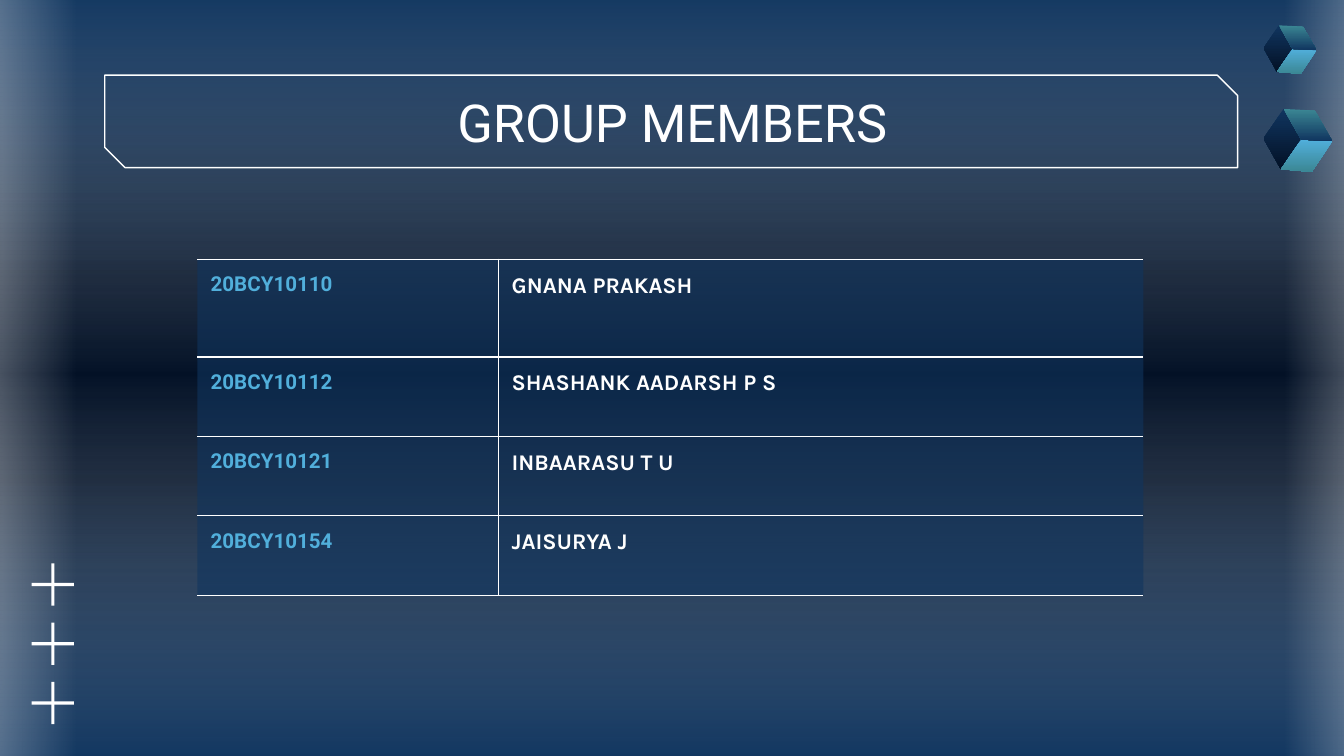
import pptx
import pptx.dml.color
import pptx.enum.shapes
import pptx.enum.text
import pptx.oxml
import pptx.oxml.ns
import pptx.util
from pptx.util import Cm

SHAPE = pptx.enum.shapes.MSO_SHAPE
ALIGN = pptx.enum.text.PP_ALIGN
ANCHOR = pptx.enum.text.MSO_ANCHOR
qn = pptx.oxml.ns.qn
NS = pptx.oxml.ns.nsdecls("a")

WHITE, NAVY, NIGHT = "FFFFFF", "10355F", "031126"
SKY, TEAL = "51AFDB", "3B8794"
INSET = Cm(0.25)

MEMBERS = [
    ("20BCY10110", "GNANA PRAKASH"),
    ("20BCY10112", "SHASHANK AADARSH P S"),
    ("20BCY10121", "INBAARASU T U"),
    ("20BCY10154", "JAISURYA J"),
]

# Cube faces: corner points in cm from the cube's top left, and gradient colours
CUBE_FACES = [
    ([(0.38, 0), (0, 0.56), (0.33, 1.14), (0.71, 0.58)], (NAVY, NIGHT)),
    ([(0.71, 0.58), (1.3, 0.61), (0.91, 1.19), (0.33, 1.14)], (SKY, TEAL)),
    ([(0.38, 0), (0.97, 0.03), (1.3, 0.61), (0.71, 0.58)], (TEAL, NAVY)),
]


def color(code):
    return pptx.dml.color.RGBColor.from_string(code)


def color_xml(code, alpha=100):
    return f'<a:srgbClr val="{code}"><a:alpha val="{alpha * 1000}"/></a:srgbClr>'


def replace_fill(fill, parent, xml):
    """Swap the fill of a shape, cell or background for the given XML."""
    fill.solid()
    parent.replace(parent.find(qn("a:solidFill")), pptx.oxml.parse_xml(xml))


def gradient_fill(fill, parent, stops, angle=90):
    """Each stop is (position, colour, alpha), in percent."""
    marks = "".join(f'<a:gs pos="{at * 1000}">{color_xml(code, alpha)}</a:gs>'
                    for at, code, alpha in stops)
    replace_fill(fill, parent,
                 f'<a:gradFill {NS} rotWithShape="1"><a:gsLst>{marks}</a:gsLst>'
                 f'<a:lin ang="{angle * 60000}" scaled="0"/></a:gradFill>')


def write(frame, text, size=12, font="Roboto", code=WHITE, bold=False,
          align=ALIGN.LEFT, after=0):
    para = frame.paragraphs[0]
    para.alignment = align
    para.space_after = pptx.util.Pt(after)
    span = para.add_run()
    span.text = text
    span.font.size = pptx.util.Pt(size)
    span.font.name = font
    span.font.bold = bold
    span.font.color.rgb = color(code)


def add_block(shapes, left, top, width, height, kind=SHAPE.RECTANGLE):
    """A white preset shape without outline."""
    block = shapes.add_shape(kind, Cm(left), Cm(top), Cm(width), Cm(height))
    block.shadow.inherit = False
    block.fill.solid()
    block.fill.fore_color.rgb = color(WHITE)
    block.line.fill.background()
    return block


def add_glow(page, left, top, width, height, stops, rotation=0):
    glow = add_block(page.shapes, left, top, width, height)
    glow.rotation = rotation
    gradient_fill(glow.fill, glow.element.spPr, stops, angle=180)


def add_title(page, text):
    border = add_block(page.shapes, 1.98, 1.42, 21.41, 1.75,
                       SHAPE.SNIP_2_DIAG_RECTANGLE)
    border.adjustments[0] = 0
    border.adjustments[1] = 0.22
    border.fill.background()
    border.line.color.rgb = color(WHITE)
    border.line.width = pptx.util.Pt(0.75)

    box = page.shapes.add_textbox(Cm(2), Cm(1.5), Cm(21.41), Cm(1.6))
    frame = box.text_frame
    frame.word_wrap = True
    frame.vertical_anchor = ANCHOR.MIDDLE
    frame.margin_left = frame.margin_right = INSET
    frame.margin_top = frame.margin_bottom = INSET
    write(frame, text, size=28, align=ALIGN.CENTER)


def style_cell(cell, sides):
    """Translucent fill, with white lines on the named sides only."""
    cell.margin_left = cell.margin_right = INSET
    cell.margin_top = cell.margin_bottom = INSET
    props = cell._tc.get_or_add_tcPr()
    replace_fill(cell.fill, props,
                 f"<a:solidFill {NS}>{color_xml(NAVY, 59)}</a:solidFill>")
    for index, side in enumerate("LRTB"):
        paint = "<a:noFill/>"
        if side in sides:
            paint = f"<a:solidFill>{color_xml(WHITE)}</a:solidFill>"
        props.insert(index, pptx.oxml.parse_xml(
            f'<a:ln{side} {NS} w="9525">{paint}</a:ln{side}>'))


def add_member_table(page, members):
    widths, heights = [5.69, 12.19], [1.85] + [1.5] * (len(members) - 1)
    table = page.shapes.add_table(len(members), 2, Cm(3.73), Cm(4.9),
                                  Cm(sum(widths)), Cm(sum(heights))).table
    table.first_row = table.horz_banding = False
    for column, width in zip(table.columns, widths):
        column.width = Cm(width)
    for row, height, (number, name) in zip(table.rows, heights, members):
        row.height = Cm(height)
        number_cell, name_cell = row.cells
        style_cell(number_cell, "RTB")
        write(number_cell.text_frame, number, size=11, code=SKY, bold=True)
        style_cell(name_cell, "LTB")
        write(name_cell.text_frame, name, font="Karla", bold=True,
              after=0 if name == members[-1][1] else 16)


def add_plus(page, center_x, center_y, length=0.8, thickness=0.06):
    group = page.shapes.add_group_shape()
    for width, height in [(length, thickness), (thickness, length)]:
        add_block(group.shapes, center_x - width / 2, center_y - height / 2,
                  width, height)


def add_cube(page, left, top, scale=1):
    group = page.shapes.add_group_shape()
    for corners, (start, end) in CUBE_FACES:
        points = [(Cm(left + x * scale), Cm(top + y * scale)) for x, y in corners]
        outline = group.shapes.build_freeform(*points[0])
        outline.add_line_segments(points[1:], close=True)
        face = outline.convert_to_shape()
        face.shadow.inherit = False
        face.line.fill.background()
        gradient_fill(face.fill, face.element.spPr,
                      [(0, start, 100), (100, end, 100)])


def main():
    deck = pptx.Presentation()
    deck.slide_width, deck.slide_height = Cm(25.4), Cm(14.29)
    page = deck.slides.add_slide(deck.slide_layouts[6])

    # Background and soft light at the edges
    fill = page.background.fill
    fill.solid()
    gradient_fill(fill, page.element.find(".//" + qn("p:bgPr")),
                  [(0, NAVY, 100), (37, NIGHT, 100),
                   (63, NIGHT, 100), (100, NAVY, 100)])
    add_glow(page, 5.59, -5.92, 14.76, 25.93,
             [(0, NAVY, 59), (50, WHITE, 0), (100, NAVY, 59)], rotation=270)
    edge_light = [(0, WHITE, 47), (100, WHITE, 0)]
    add_glow(page, -1.04, -0.23, 2.49, 14.73, edge_light, rotation=180)
    add_glow(page, 24.28, -0.33, 2.16, 14.73, edge_light)

    # Content
    add_title(page, "GROUP MEMBERS")
    add_member_table(page, MEMBERS)

    # Ornaments
    for step in range(3):
        add_plus(page, 1, 11.05 + step * 1.12)
    add_cube(page, 23.88, 2.06)
    add_cube(page, 23.88, 0.48, scale=0.77)

    deck.save("out.pptx")


if __name__ == "__main__":
    main()
